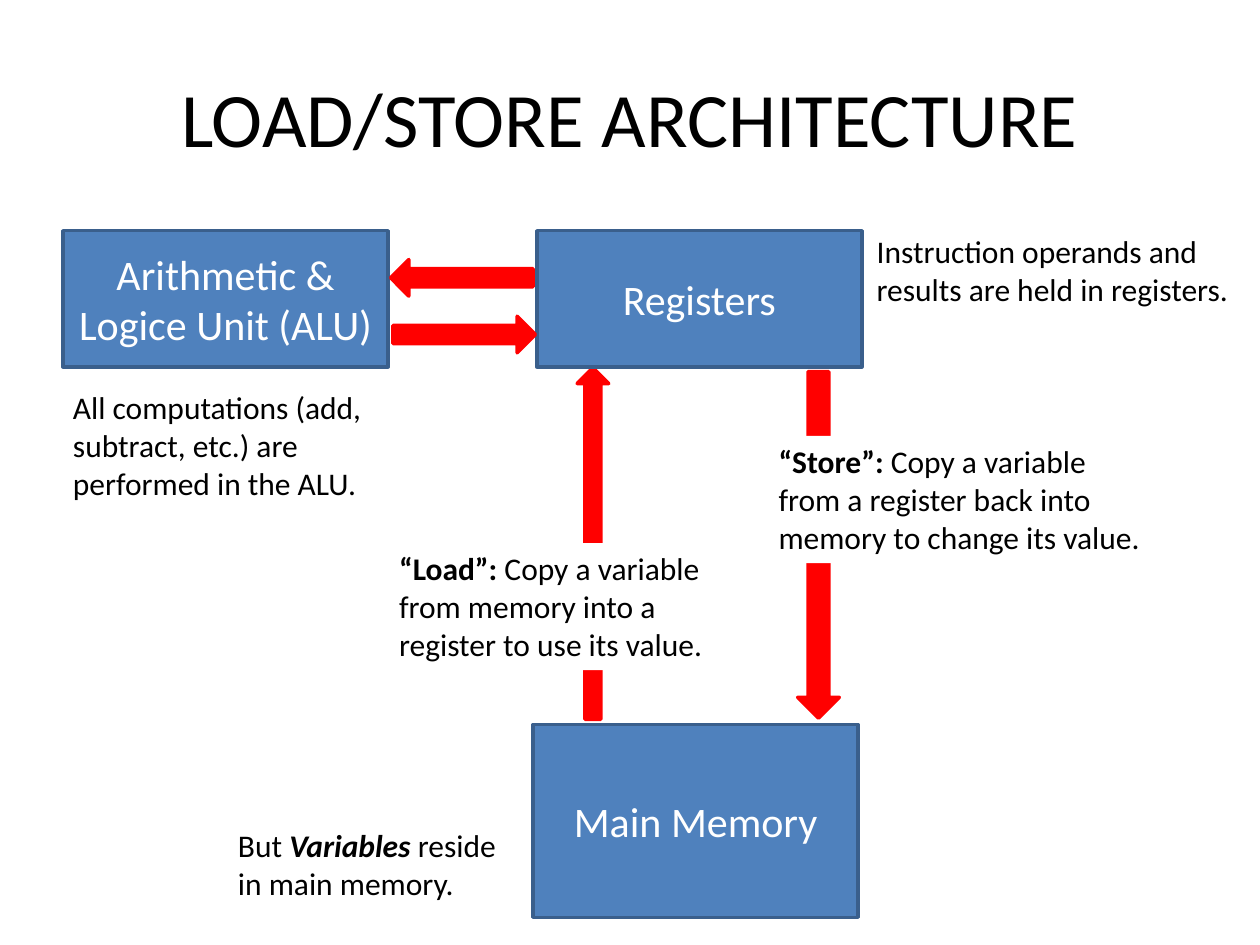
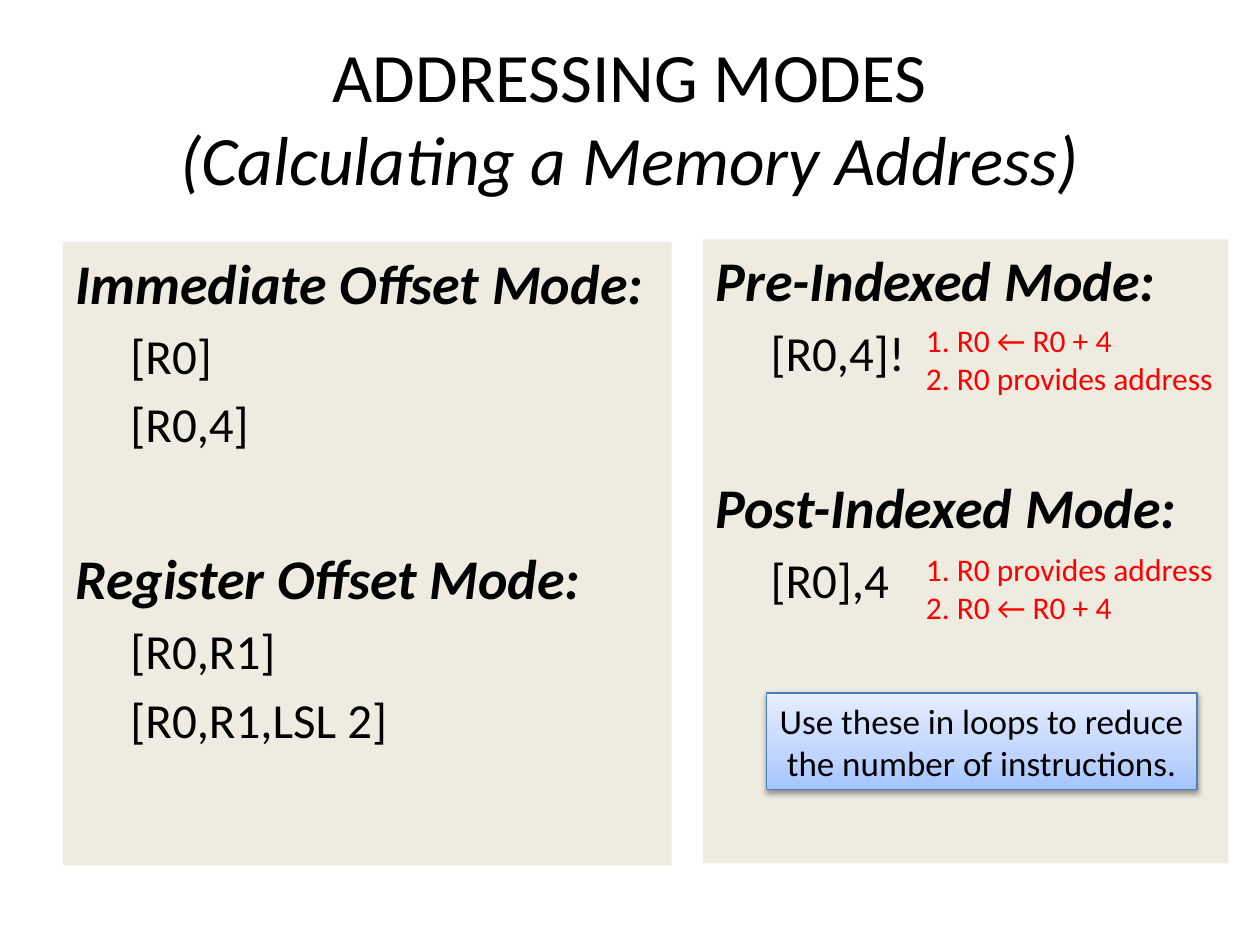
import pptx
import pptx.util
import pptx.dml.color
import pptx.enum.shapes
import pptx.enum.text
from dataclasses import dataclass
from lxml import etree

Pt = pptx.util.Pt
RGB = pptx.dml.color.RGBColor.from_string
Kind = pptx.enum.shapes.MSO_SHAPE
Align = pptx.enum.text.PP_ALIGN
Anchor = pptx.enum.text.MSO_ANCHOR


@dataclass(frozen=True)
class Theme:
    font: str = "Calibri"
    ink: str = "000000"
    white: str = "FFFFFF"
    red: str = "FF0000"
    blue: str = "4F81BD"
    edge: str = "3A5F8C"
    trim: str = "4B7EBC"
    sand: str = "EEECE1"
    glow: tuple = ((0, "A4C4FF"), (35, "BFD4FF"), (100, "E6EEFF"))
    title: float = 44
    pair: float = 39.6
    head: float = 32
    code: float = 28
    label: float = 24
    tip: float = 20
    note: float = 18


theme = Theme()


def shape(slide, kind, frame, fill, line=None, width=2):
    item = slide.shapes.add_shape(kind, *[Pt(v) for v in frame])
    item.shadow.inherit = False
    item.fill.solid()
    item.fill.fore_color.rgb = RGB(fill)
    if line:
        item.line.color.rgb = RGB(line)
        item.line.width = Pt(width)
    else:
        item.line.fill.background()
    return item


def write(item, rows, size, color=theme.ink, align=Align.LEFT, anchor=Anchor.TOP):
    """Each row is a list of (text, style); style holds b and i marks."""
    frame = item.text_frame
    frame.word_wrap = True
    frame.vertical_anchor = anchor
    for n, row in enumerate(rows):
        para = frame.add_paragraph() if n else frame.paragraphs[0]
        para.alignment = align
        para.font.name = theme.font
        para.font.size = Pt(size)
        para.font.color.rgb = RGB(color)
        for text, style in row:
            if text == "\n":
                para.add_line_break()
                continue
            run = para.add_run()
            run.text = text
            if style:
                run.font.bold = "b" in style
                run.font.italic = "i" in style
    return frame


deck = pptx.Presentation()
deck.slide_width, deck.slide_height = Pt(720), Pt(540)

# Slides and their titles
titles = [
    ([("LOAD/STORE ARCHITECTURE", "")], theme.title),
    ([("ADDRESSING MODES", ""), ("\n", ""),
      ("(Calculating a Memory Address)", "i")], theme.pair),
]
pages = []
for row, size in titles:
    page = deck.slides.add_slide(deck.slide_layouts[6])
    box = page.shapes.add_textbox(Pt(36), Pt(21.6), Pt(648), Pt(90))
    write(box, [row], size, align=Align.CENTER, anchor=Anchor.MIDDLE)
    pages.append(page)
flow, modes = pages

# Slide 1: arrows between memory and registers
for kind, frame in [
    (Kind.UP_ARROW, (329.8, 210.2, 18, 200.9)),
    (Kind.DOWN_ARROW, (455.8, 212.4, 23.8, 198)),
]:
    shape(flow, kind, frame, theme.red, theme.red)

# Slide 1: hardware blocks
for text, left, top, high in [
    ("Main Memory", 304.6, 414, 110.2),
    ("Registers", 306.7, 131.8, 77.8),
    ("Arithmetic & Logice Unit (ALU)", 36, 131.8, 77.8),
]:
    block = shape(flow, Kind.RECTANGLE, (left, top, 185.8, high), theme.blue, theme.edge)
    write(block, [[(text, "")]], theme.label, theme.white, Align.CENTER, Anchor.MIDDLE)

# Slide 1: arrows between registers and ALU
for kind, left, top in [(Kind.LEFT_ARROW, 223.2, 148.3), (Kind.RIGHT_ARROW, 224.6, 180.7)]:
    shape(flow, kind, (left, top, 81.4, 20.9), theme.red, theme.red)

# Slide 1: plain notes
for frame, row in [
    ((34.6, 218.2, 188.6, 72.7),
     [("All computations (add, subtract, etc.) are performed in the ALU.", "")]),
    ((493.9, 128.9, 226.1, 51.1),
     [("Instruction operands and results are held in registers.", "")]),
    ((128.9, 468.7, 164.9, 51.1),
     [("But", ""), (" Variables", "bi"), (" reside in main memory.", "")]),
]:
    write(flow.shapes.add_textbox(*[Pt(v) for v in frame]), [row], theme.note)

# Slide 1: white notes over the arrows
for frame, name, text in [
    ((221, 310.3, 204.5, 72.7), "“Load”: ",
     "Copy a variable from memory into a register to use its value."),
    ((437.8, 249.1, 228.2, 72.7), "“Store”: ",
     "Copy a variable from a register back into memory to change its value."),
]:
    card = shape(flow, Kind.RECTANGLE, frame, theme.white)
    write(card, [[(name, "b"), (text, "")]], theme.note)

# Slide 2: panels of modes, each a heading with its examples
for frame, groups in [
    ((36, 138.2, 347.8, 356.4), [
        ("Immediate Offset Mode:", ["[R0]", "[R0,4]"]),
        ("Register Offset Mode:", ["[R0,R1]", "[R0,R1,LSL 2]"])]),
    ((401.8, 136.8, 300.2, 356.4), [
        ("Pre-Indexed Mode:", ["[R0,4]!"]),
        ("Post-Indexed Mode:", ["[R0],4"])]),
]:
    panel = shape(modes, Kind.RECTANGLE, frame, theme.sand)
    heads = [head for head, codes in groups]
    rows = [[(text, "")] for head, codes in groups for text in [head, *codes]]
    body = write(panel, rows, theme.code)
    for n, para in enumerate(body.paragraphs):
        if para.text in heads:
            para.font.size = Pt(theme.head)
            para.font.bold = para.font.italic = True
            para.space_before = Pt(52 if n else 0)
        else:
            para.level = 1
            para.space_before = Pt(5.6)
            props = para._p.get_or_add_pPr()
            props.set("marL", str(Pt(31.5)))
            props.set("indent", "0")

# Slide 2: tip with gradient and shadow
tip = shape(modes, Kind.RECTANGLE, (437.8, 396, 246.2, 55.4), theme.sand, theme.trim, 0.75)
write(tip, [[("Use these in loops to reduce the number of instructions.", "")]],
      theme.tip, align=Align.CENTER)
space = "http://schemas.openxmlformats.org/drawingml/2006/main"
stops = "".join(f'<a:gs pos="{spot * 1000}"><a:srgbClr val="{color}"/></a:gs>'
                for spot, color in theme.glow)
grad = etree.fromstring(
    f'<a:gradFill xmlns:a="{space}" rotWithShape="1"><a:gsLst>{stops}</a:gsLst>'
    '<a:lin ang="16200000" scaled="0"/></a:gradFill>')
props = tip._element.spPr
props.replace(props.find(f"{{{space}}}solidFill"), grad)
shade = etree.fromstring(
    f'<a:outerShdw xmlns:a="{space}" blurRad="{Pt(3.1)}" dist="{Pt(1.6)}" dir="5400000" '
    f'rotWithShape="0"><a:srgbClr val="{theme.ink}"><a:alpha val="38000"/></a:srgbClr>'
    '</a:outerShdw>')
props.find(f"{{{space}}}effectLst").append(shade)

# Slide 2: order of steps for each indexed mode
step, use = "R0 ← R0 + 4", "R0 provides address"
for top, order in [(180, (step, use)), (311, (use, step))]:
    box = modes.shapes.add_textbox(Pt(522), Pt(top), Pt(180), Pt(51.1))
    rows = [[(f"{n}. {text}", "")] for n, text in enumerate(order, 1)]
    write(box, rows, theme.note, theme.red)

deck.save("out.pptx")
